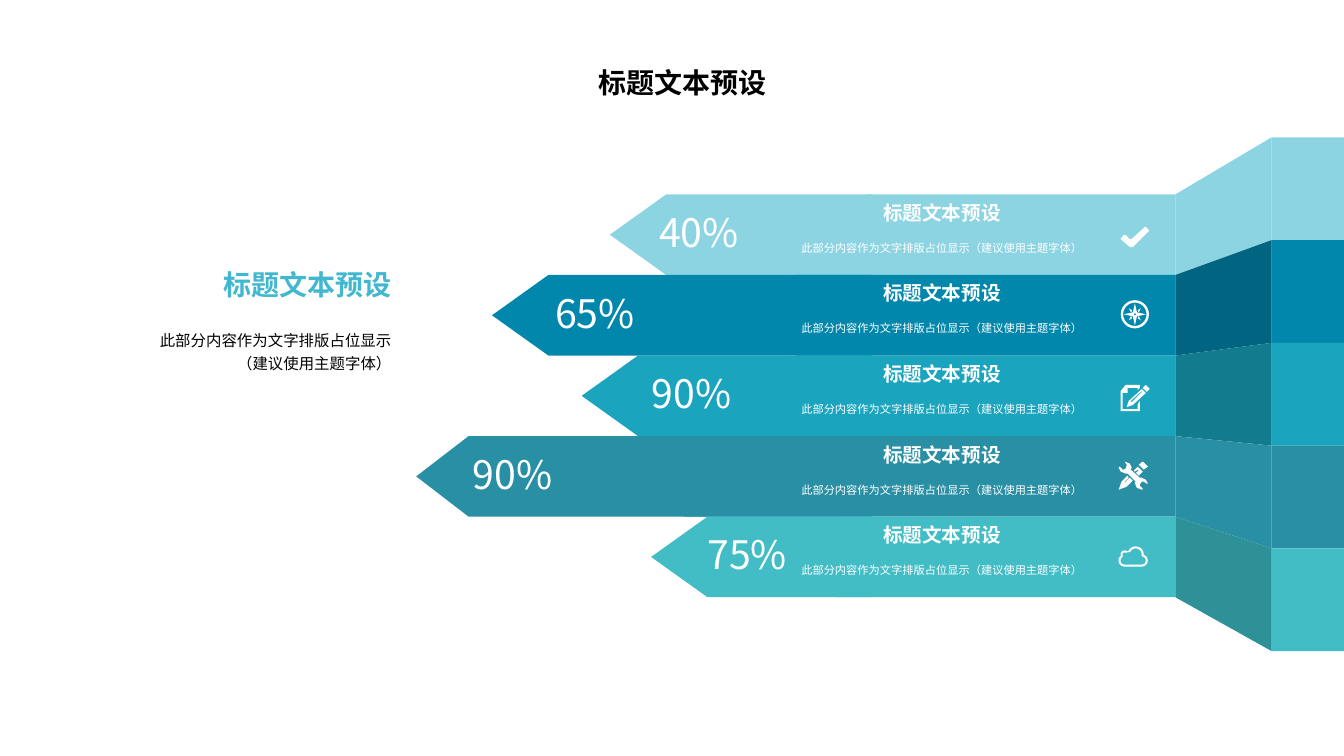
import math

from lxml import etree
from pptx import Presentation
from pptx.dml.color import RGBColor
from pptx.enum.shapes import MSO_SHAPE
from pptx.enum.text import MSO_ANCHOR, PP_ALIGN
from pptx.oxml.ns import qn
from pptx.util import Cm, Pt

RECTANGLE = MSO_SHAPE.RECTANGLE
TOP, MIDDLE = MSO_ANCHOR.TOP, MSO_ANCHOR.MIDDLE
LEFT, CENTER, RIGHT = PP_ALIGN.LEFT, PP_ALIGN.CENTER, PP_ALIGN.RIGHT

FONT = "Noto Sans CJK SC"
WHITE = RGBColor(0xFF, 0xFF, 0xFF)
BLACK = RGBColor(0x00, 0x00, 0x00)
ACCENT = RGBColor(0x41, 0xB7, 0xD0)
PALE = RGBColor(0x8D, 0xD4, 0xE3)
BLUE = RGBColor(0x01, 0x87, 0xAC)
CYAN = RGBColor(0x1A, 0xA4, 0xBE)
STEEL = RGBColor(0x29, 0x8F, 0xA4)
TEAL = RGBColor(0x42, 0xBD, 0xC6)
BLUE_SHADE = RGBColor(0x01, 0x65, 0x81)
CYAN_SHADE = RGBColor(0x13, 0x7B, 0x8E)
TEAL_SHADE = RGBColor(0x2E, 0x91, 0x98)

HEADING = "标题文本预设"
BODY_START, BODY_END = "此部分内容作为文字排版占位显示", "（建议使用主题字体）"

# Ribbon geometry in centimetres
BAND_TOP, BAND_H = 4.9, 2.03
WALL_TOP, WALL_H = 3.46, 2.59
FRONT_END, FOLD_X, WALL_X, SLIDE_W = 21.97, 29.62, 32.05, 33.87

# Icons are drawn on a grid of a hundredth of an inch
ICON_UNIT = Cm(2.54) / 100

# Colour, fold colour, percentage, its left edge,
# (tip, shoulder) of the back arrow and of the front arrow
BANDS = [
    (PALE, PALE, "40%", 16.36, (19.74, 21.84), (15.37, 16.79)),
    (BLUE, BLUE_SHADE, "65%", 13.74, (18.39, 20.07), (12.4, 13.82)),
    (CYAN, CYAN_SHADE, "90%", 16.18, (17.83, 20.14), (14.66, 16.08)),
    (STEEL, STEEL, "90%", 11.66, (15.65, 17.25), (10.49, 11.81)),
    (TEAL, TEAL_SHADE, "75%", 17.58, (18.14, 21.08), (16.41, 17.83)),
]


def paint(shape, color):
    shape.shadow.inherit = False
    shape.fill.solid()
    shape.fill.fore_color.rgb = color
    shape.line.fill.background()


def add_outline(shapes, contours, color, left=0, top=0, unit=Cm(1)):
    """Fill one or more closed contours; inner contours become holes."""
    scaled = [[(x * unit, y * unit) for x, y in contour] for contour in contours]
    builder = shapes.build_freeform(*scaled[0][0], scale=1.0)
    for number, contour in enumerate(scaled):
        if number:
            builder.move_to(*contour[0])
        builder.add_line_segments(contour[1:], close=True)
    paint(builder.convert_to_shape(Cm(left), Cm(top)), color)


def add_text(slide, box, lines, size, color, align=LEFT, bold=False,
             anchor=TOP, insets=(0, 0, 0.41, 0), wrap=False, spacing=None):
    frame = slide.shapes.add_textbox(*map(Cm, box)).text_frame
    frame.word_wrap = wrap
    frame.vertical_anchor = anchor
    (frame.margin_left, frame.margin_top,
     frame.margin_right, frame.margin_bottom) = map(Cm, insets)
    paragraph = frame.paragraphs[0]
    paragraph.alignment = align
    if spacing:
        paragraph.line_spacing = spacing
    for number, line in enumerate(lines):
        if number:
            paragraph.add_line_break()
        run = paragraph.add_run()
        run.text = line
        run.font.size = Pt(size)
        run.font.bold = bold
        run.font.color.rgb = color
        run.font.name = FONT
        # East Asian glyphs need their own typeface entry
        etree.SubElement(run._r.get_or_add_rPr(), qn("a:ea"), typeface=FONT)


def add_arrow(slide, top, tip, shoulder, end, color):
    bottom = top + BAND_H
    add_outline(slide.shapes, [[(end, bottom), (end, top), (shoulder, top),
                                (tip, top + BAND_H / 2), (shoulder, bottom)]], color)


def add_wall(slide, index, color):
    wall = slide.shapes.add_shape(
        RECTANGLE, Cm(WALL_X), Cm(WALL_TOP + index * WALL_H),
        Cm(SLIDE_W - WALL_X), Cm(WALL_H))
    paint(wall, color)


def add_fold(slide, index, color):
    band, wall = BAND_TOP + index * BAND_H, WALL_TOP + index * WALL_H
    add_outline(slide.shapes, [[(WALL_X, wall + WALL_H), (WALL_X, wall),
                                (FOLD_X, band), (FOLD_X, band + BAND_H)]], color)


def add_band_text(slide, index, percent, percent_left):
    top = BAND_TOP + index * BAND_H
    add_text(slide, (percent_left, top + 0.22, 3.02, 1.45), [percent], 28, WHITE,
             anchor=MIDDLE, insets=(0.25, 0.13, 0.76, 0.13))
    add_text(slide, (19.74, top + 0.16, 8.41, 0.69), [HEADING], 14, WHITE,
             CENTER, bold=True)
    add_text(slide, (19.74, top + 0.83, 8.41, 0.97), [BODY_START + BODY_END], 8,
             WHITE, CENTER, anchor=MIDDLE, wrap=True, spacing=1.2)


def arc(cx, cy, radius, start=0, end=360, steps=24):
    angles = [math.radians(start + (end - start) * i / steps) for i in range(steps + 1)]
    return [(cx + radius * math.cos(a), cy + radius * math.sin(a)) for a in angles]


def cloud_edge(inset):
    return (arc(6, 14, 6 - inset, 90, 240) + arc(6, 8, 4 - inset, 180, 300)
            + arc(17, 8, 8 - inset, 205, 375) + arc(23, 14, 6 - inset, 295, 450))


def icon_parts():
    """Left, top and parts of each icon, from the first band to the last."""
    check = [[[(0, 12), (3, 8), (5, 8), (9, 12), (11, 12), (24, 0), (25, 0), (28, 3),
               (28, 4), (13, 19), (12, 20), (10, 20), (8, 19)]]]
    star = [(2, -2), (0, -11), (-2, -2), (-11, 0), (-2, 2), (0, 11), (2, 2), (11, 0)]
    compass = [[arc(0, 0, 14), arc(0, 0, 11.6)], [star, arc(0, 0, 1)]]
    compass += [[[(sx * x, sy * y) for x, y in ((4, 2), (6, 6), (3, 4), (3, 3))]]
                for sx in (-1, 1) for sy in (-1, 1)]
    page = [(17, 24), (2, 24), (2, 8), (7, 8), (7, 3), (17, 3), (17, 5), (19, 3),
            (19, 0), (5, 0), (0, 6), (0, 26), (19, 26), (19, 16), (17, 19)]
    pencil = [(8, 16), (6, 22), (12, 20), (25, 8), (21, 4)]
    pencil_groove = [(21, 6), (21, 7), (11, 17), (10, 16)]
    eraser = [(22, 3), (25, 0), (29, 4), (26, 7)]
    note = [[page], [pencil, pencil_groove], [eraser]]
    nib = [(11, 16), (6, 21), (6, 20), (10, 16), (9, 14), (3, 20), (0, 28), (8, 25),
           (14, 19)]
    collar = [(16, 10), (19, 8), (20, 9), (17, 11), (20, 14), (24, 10), (19, 5), (15, 9)]
    cap = [(20, 3), (24, 0), (29, 5), (25, 8)]
    wrench = [(23, 16), (21, 16), (12, 8), (13, 6), (11, 2), (6, 0), (8, 3), (8, 4),
              (7, 7), (5, 8), (4, 8), (1, 5), (0, 6), (2, 10), (7, 12), (9, 12),
              (17, 20), (16, 21), (18, 26), (23, 28), (24, 27), (21, 24), (21, 23),
              (23, 20), (25, 20), (28, 22), (29, 22), (27, 18)]
    tools = [[nib], [collar], [cap], [wrench]]
    cloud = [[cloud_edge(0), cloud_edge(2)]]
    return [(28.24, 5.72, check), (28.6, 7.92, compass), (28.24, 9.7, note),
            (28.19, 11.63, tools), (28.19, 13.77, cloud)]


def add_icon(slide, left, top, parts):
    icon = slide.shapes.add_group_shape()
    for contours in parts:
        add_outline(icon.shapes, contours, WHITE, left, top, ICON_UNIT)


def main():
    deck = Presentation()
    deck.slide_width, deck.slide_height = Cm(SLIDE_W), Cm(19.05)
    slide = deck.slides.add_slide(deck.slide_layouts[6])

    # Title and introduction
    add_text(slide, (9.35, 1.35, 15.7, 1.47), [HEADING], 20, BLACK, CENTER,
             bold=True, anchor=MIDDLE, insets=(0.25, 0.13, 0.25, 0.13))
    add_text(slide, (2.18, 6.73, 8.1, 1.5), [HEADING], 20, ACCENT, RIGHT, bold=True)
    add_text(slide, (2.18, 8.26, 8.1, 2.11), [BODY_START, BODY_END], 11, BLACK,
             RIGHT, wrap=True, spacing=1.2)

    # Ribbons: arrows, wall ends, folds and their text
    for index, (color, shade, percent, percent_left, back, front) in enumerate(BANDS):
        top = BAND_TOP + index * BAND_H
        add_arrow(slide, top, *back, FOLD_X, color)
        add_arrow(slide, top, *front, FRONT_END, color)
        add_wall(slide, index, color)
        add_fold(slide, index, shade)
        add_band_text(slide, index, percent, percent_left)

    # Icons
    for left, top, parts in icon_parts():
        add_icon(slide, left, top, parts)

    deck.save("out.pptx")


if __name__ == "__main__":
    main()
